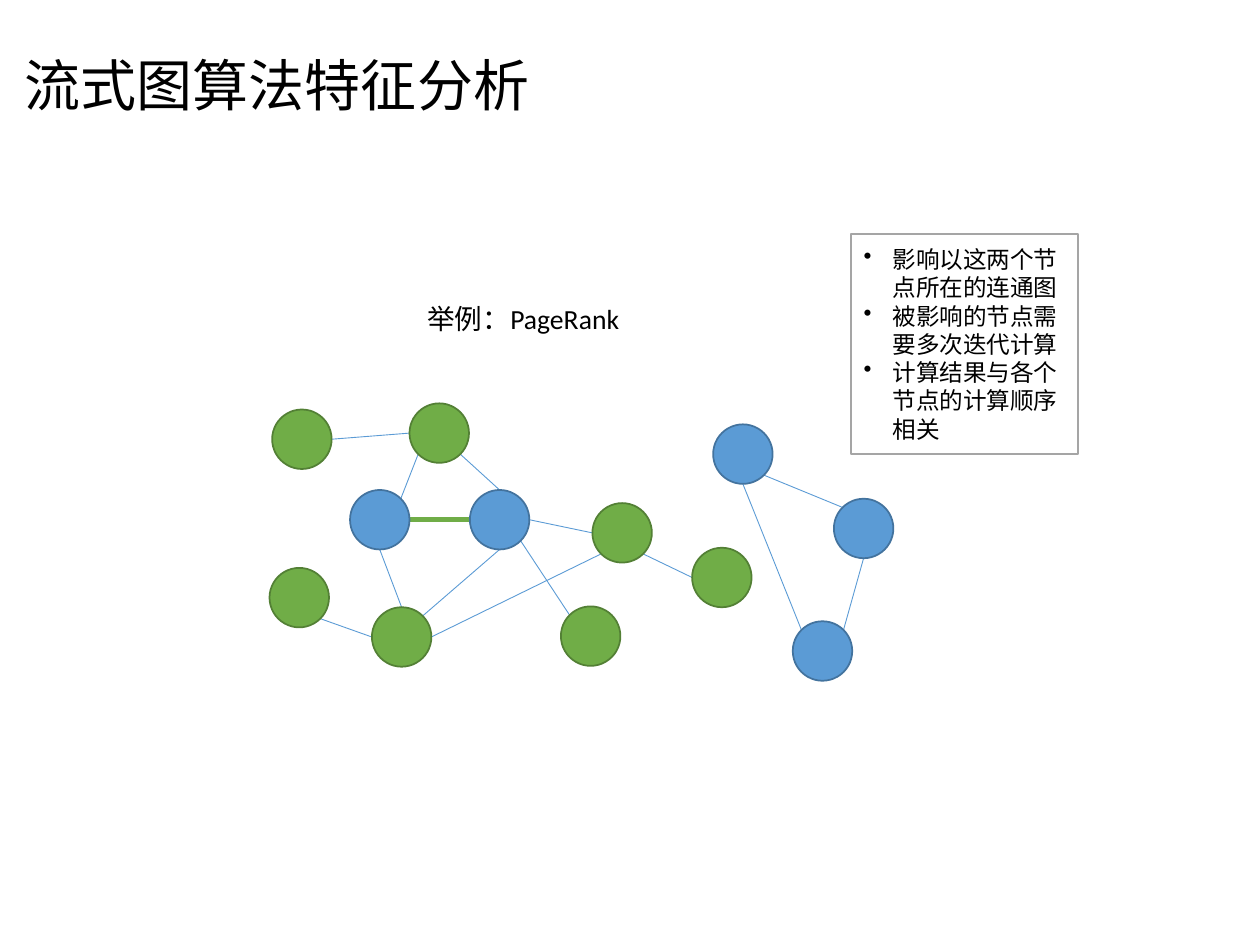
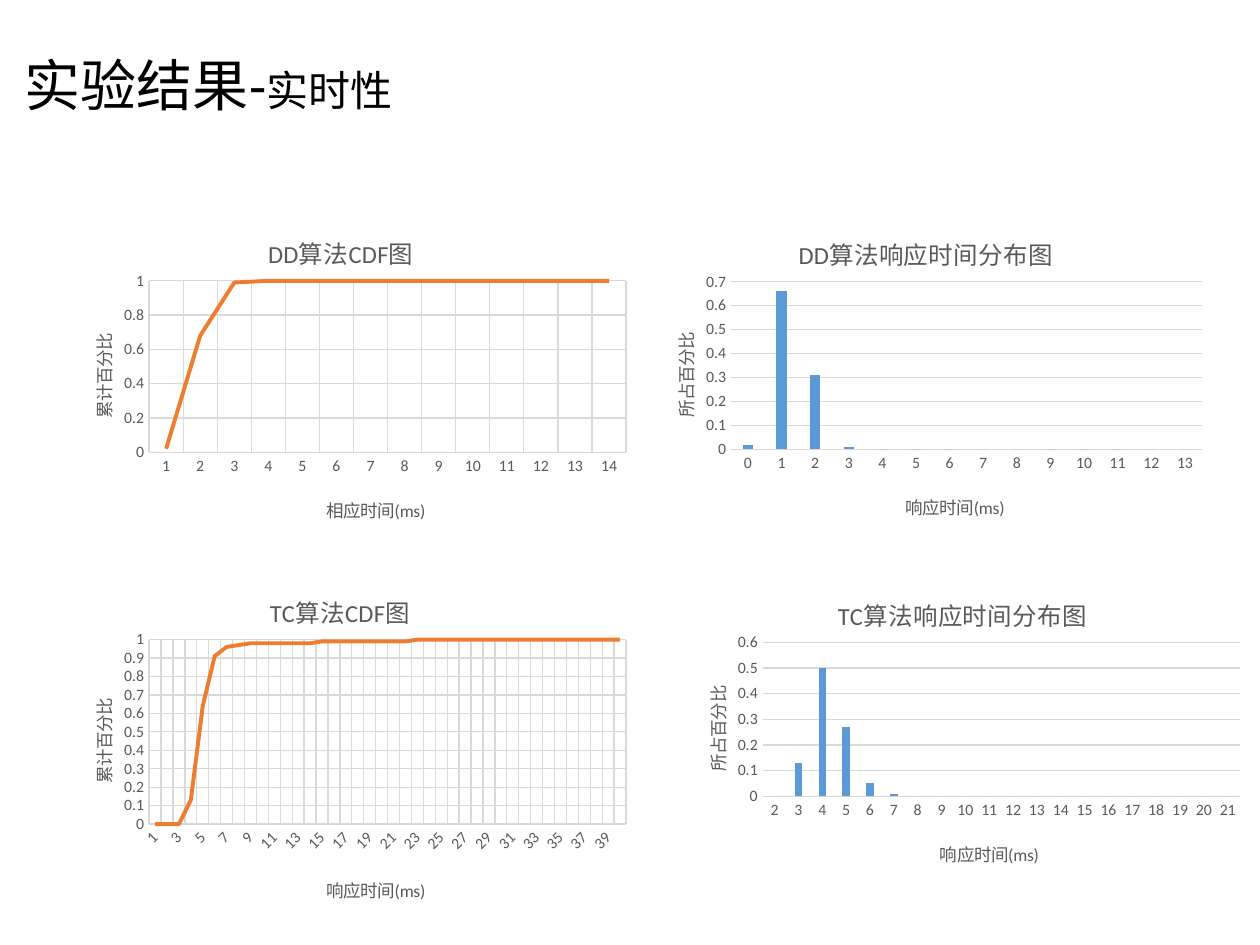
from dataclasses import dataclass
from math import cos, radians, sin

from lxml import etree
from pptx import Presentation
from pptx.chart.data import CategoryChartData
from pptx.dml.color import RGBColor
from pptx.enum.chart import XL_CHART_TYPE as ChartKind, XL_TICK_MARK as Tick
from pptx.enum.shapes import MSO_CONNECTOR as Line, MSO_SHAPE as Shape
from pptx.enum.text import MSO_ANCHOR as Anchor, MSO_AUTO_SIZE as AutoSize, PP_ALIGN as Align
from pptx.oxml.ns import qn
from pptx.util import Pt


def rgb(code):
    return RGBColor.from_string(code)


@dataclass(frozen=True)
class Theme:
    font: str = "Calibri"
    black: RGBColor = rgb("000000")
    white: RGBColor = rgb("FFFFFF")
    blue: RGBColor = rgb("5B9BD5")
    blue_edge: RGBColor = rgb("43739E")
    green: RGBColor = rgb("70AD47")
    green_edge: RGBColor = rgb("538035")
    orange: RGBColor = rgb("ED7D31")
    frame: RGBColor = rgb("A5A5A5")
    grid: RGBColor = rgb("D9D9D9")
    chart_text: RGBColor = rgb("595959")
    title: float = 32
    subtitle: float = 24
    caption: float = 15.8
    note: float = 13.5
    chart_title: float = 14
    axis_title: float = 10
    tick: float = 9


THEME = Theme()
TITLE_BOX = (7, 31, 621, 39)
NODE_SIZE = 34

# name: (left, top, affected by the new edge)
NODES = {
    "upper leaf": (1.5, 4, True),
    "top": (80, 0.5, True),
    "new edge start": (46, 50, False),
    "new edge end": (114.5, 50, False),
    "hub": (184.5, 57.5, True),
    "far leaf": (241.5, 83, True),
    "lower leaf": (0, 94.5, True),
    "bottom": (58.5, 117, True),
    "right leaf": (166.5, 116.5, True),
    "apart top": (253.5, 12.5, False),
    "apart right": (322.5, 55, False),
    "apart bottom": (299, 125, False),
}

# Angles are in degrees, clockwise from the right-hand side of a node
EDGES = [
    ("top", 180, "upper leaf", 0),
    ("lower leaf", 45, "bottom", 180),
    ("new edge start", 315, "top", 135),
    ("new edge end", 0, "hub", 180),
    ("new edge end", 45, "right leaf", 225),
    ("hub", 135, "bottom", 0),
    ("new edge start", 0, "new edge end", 180),
    ("top", 45, "new edge end", 270),
    ("new edge start", 90, "bottom", 270),
    ("bottom", 315, "new edge end", 90),
    ("hub", 45, "far leaf", 180),
    ("apart top", 45, "apart right", 225),
    ("apart right", 90, "apart bottom", 315),
    ("apart top", 90, "apart bottom", 225),
]

NOTES = [
    "影响以这两个节点所在的连通图",
    "被影响的节点需要多次迭代计算",
    "计算结果与各个节点的计算顺序相关",
]


@dataclass(frozen=True)
class ChartSpec:
    box: tuple
    title: str
    title_left: float
    x_title: str
    categories: range
    values: list
    top: float
    step: float
    is_cdf: bool = False
    tilted: bool = False


CHARTS = [
    ChartSpec((31.7, 321, 332.6, 205), "TC算法CDF图", 120, "响应时间(ms)", range(1, 41),
              [0, 0, 0, 0.13, 0.64, 0.91, 0.96, 0.97] + [0.98] * 6 + [0.99] * 8 + [1] * 18,
              1, 0.1, is_cdf=True, tilted=True),
    ChartSpec((31.7, 116, 332.6, 193), "DD算法CDF图", 119, "相应时间(ms)", range(1, 15),
              [0.02, 0.68, 0.99] + [1] * 11, 1, 0.2, is_cdf=True),
    ChartSpec((364.3, 116.6, 329, 190.8), "DD算法响应时间分布图", 89.5, "响应时间(ms)", range(14),
              [0.02, 0.66, 0.31, 0.01] + [0] * 10, 0.7, 0.1),
    ChartSpec((382.3, 322.6, 332.6, 183), "TC算法响应时间分布图", 94, "响应时间(ms)", range(2, 22),
              [0, 0.13, 0.5, 0.27, 0.05, 0.01] + [0] * 14, 0.6, 0.1),
]


def points(*lengths):
    return [Pt(length) for length in lengths]


def style_font(font, size, color):
    font.name, font.size, font.bold = THEME.font, Pt(size), False
    font.color.rgb = color


def add_run(paragraph, text, size, color=THEME.black):
    run = paragraph.add_run()
    run.text = text
    style_font(run.font, size, color)


def paint(shape, fill, edge):
    shape.shadow.inherit = False
    shape.fill.solid()
    shape.fill.fore_color.rgb = fill
    shape.line.color.rgb = edge
    shape.line.width = Pt(1)


def titled_slide(deck, *pieces):
    """Add a slide whose title is made of (text, size) pieces."""
    slide = deck.slides.add_slide(deck.slide_layouts[5])
    title = slide.shapes.title
    title.left, title.top, title.width, title.height = points(*TITLE_BOX)
    frame = title.text_frame
    frame.auto_size, frame.vertical_anchor = AutoSize.NONE, Anchor.MIDDLE
    paragraph = frame.paragraphs[0]
    paragraph.alignment, paragraph.line_spacing = Align.LEFT, 0.9
    for text, size in pieces:
        add_run(paragraph, text, size)
    return slide


def add_caption(slide, box):
    caption = slide.shapes.add_textbox(*points(*box))
    caption.text_frame.word_wrap = True
    add_run(caption.text_frame.paragraphs[0], "举例：PageRank", THEME.caption)


def add_graph(slide, left, top):
    def rim(name, angle):
        node_left, node_top, _ = NODES[name]
        radius = NODE_SIZE / 2
        return points(left + node_left + radius * (1 + cos(radians(angle))),
                      top + node_top + radius * (1 + sin(radians(angle))))

    for start, start_angle, end, end_angle in EDGES:
        edge = slide.shapes.add_connector(
            Line.STRAIGHT, *rim(start, start_angle), *rim(end, end_angle))
        is_new = (start, end) == ("new edge start", "new edge end")
        edge.line.color.rgb = THEME.green if is_new else THEME.blue
        edge.line.width = Pt(3 if is_new else 0.5)
        etree.SubElement(edge._element.spPr, qn("a:effectLst"))

    for node_left, node_top, affected in NODES.values():
        node = slide.shapes.add_shape(
            Shape.FLOWCHART_CONNECTOR,
            *points(left + node_left, top + node_top, NODE_SIZE, NODE_SIZE))
        if affected:
            paint(node, THEME.green, THEME.green_edge)
        else:
            paint(node, THEME.blue, THEME.blue_edge)


def add_notes_panel(slide, box):
    panel = slide.shapes.add_shape(Shape.RECTANGLE, *points(*box))
    paint(panel, THEME.white, THEME.frame)
    frame = panel.text_frame
    frame.word_wrap, frame.vertical_anchor = True, Anchor.MIDDLE
    for index, note in enumerate(NOTES):
        paragraph = frame.add_paragraph() if index else frame.paragraphs[0]
        paragraph.alignment = Align.LEFT
        properties = paragraph._p.get_or_add_pPr()
        properties.set("marL", str(Pt(16.5)))
        properties.set("indent", str(-Pt(16.5)))
        etree.SubElement(properties, qn("a:buChar")).set("char", "•")
        add_run(paragraph, note, THEME.note)


def set_layout(part, index, **fractions):
    """Fix where a chart part sits, as fractions of the chart's size."""
    for old in part.findall(qn("c:layout")):
        part.remove(old)
    layout = etree.Element(qn("c:layout"))
    part.insert(index, layout)
    manual = etree.SubElement(layout, qn("c:manualLayout"))
    settings = {"xMode": "edge", "yMode": "edge"}
    if "w" in fractions:
        settings = {"layoutTarget": "inner", **settings}
    settings.update({key: f"{value:.4f}" for key, value in fractions.items()})
    for key, value in settings.items():
        etree.SubElement(manual, qn(f"c:{key}")).set("val", value)


def set_chart_title(title, text, size, x, y):
    add_run(title.text_frame.paragraphs[0], text, size, THEME.chart_text)
    set_layout(title._element, 1, x=x, y=y)


def style_axis(axis, has_grid):
    axis.major_tick_mark = axis.minor_tick_mark = Tick.NONE
    style_font(axis.tick_labels.font, THEME.tick, THEME.chart_text)
    axis.has_major_gridlines = has_grid
    if has_grid:
        axis.major_gridlines.format.line.color.rgb = THEME.grid
        axis.major_gridlines.format.line.width = Pt(0.75)


def add_response_chart(slide, spec):
    width, height = spec.box[2:]
    plot_left, plot_top = 53.5, 44.5
    plot_height = height - (99.5 if spec.tilted else 95)

    data = CategoryChartData()
    data.categories = [str(category) for category in spec.categories]
    data.add_series("Series 1", spec.values)
    kind = ChartKind.LINE if spec.is_cdf else ChartKind.COLUMN_CLUSTERED
    chart = slide.shapes.add_chart(kind, *points(*spec.box), data).chart
    style_font(chart.font, THEME.axis_title, THEME.black)
    chart.has_legend = False
    chart.has_title = True
    set_chart_title(chart.chart_title, spec.title, THEME.chart_title,
                    spec.title_left / width, 14 / height)
    set_layout(chart._chartSpace.chart.plotArea, 0, x=plot_left / width, y=plot_top / height,
               w=(width - 60) / width, h=plot_height / height)

    times, shares = chart.category_axis, chart.value_axis
    style_axis(times, spec.is_cdf)
    style_axis(shares, True)
    times.format.line.color.rgb = THEME.grid
    times.format.line.width = Pt(0.75)
    shares.format.line.fill.background()
    shares.minimum_scale, shares.maximum_scale = 0, spec.top
    shares.major_unit = spec.step
    shares.tick_labels.number_format = "General"
    shares.tick_labels.number_format_is_linked = False
    if spec.tilted:
        times._element.find(f"{qn('c:txPr')}/{qn('a:bodyPr')}").set("rot", "-2700000")

    set_chart_title(times.axis_title, spec.x_title, THEME.axis_title,
                    0.46, (height - 27.5) / height)
    set_chart_title(shares.axis_title, "累计百分比" if spec.is_cdf else "所占百分比",
                    THEME.axis_title, 18 / width, (plot_top + plot_height / 2 - 21) / height)
    shares.axis_title.text_frame._txBody.bodyPr.set("rot", "-5400000")

    plot = chart.plots[0]
    plot.vary_by_categories = False
    series = plot.series[0]
    if spec.is_cdf:
        series.smooth = False
        series.format.line.color.rgb = THEME.orange
        series.format.line.width = Pt(2.25)
    else:
        plot.gap_width, plot.overlap = 219, -27
        series.format.fill.solid()
        series.format.fill.fore_color.rgb = THEME.blue


def build_algorithm_slide(deck):
    slide = titled_slide(deck, ("流式图算法特征分析", THEME.title))
    add_caption(slide, (237, 169, 205, 27))
    add_graph(slide, 154, 230)
    add_notes_panel(slide, (486.5, 133.5, 129.6, 126))


def build_results_slide(deck):
    slide = titled_slide(deck, ("实验结果-", THEME.title), ("实时性", THEME.subtitle))
    for spec in CHARTS:
        add_response_chart(slide, spec)


def main():
    deck = Presentation()
    deck.slide_width, deck.slide_height = points(720, 540)
    build_algorithm_slide(deck)
    build_results_slide(deck)
    deck.save("out.pptx")


if __name__ == "__main__":
    main()
